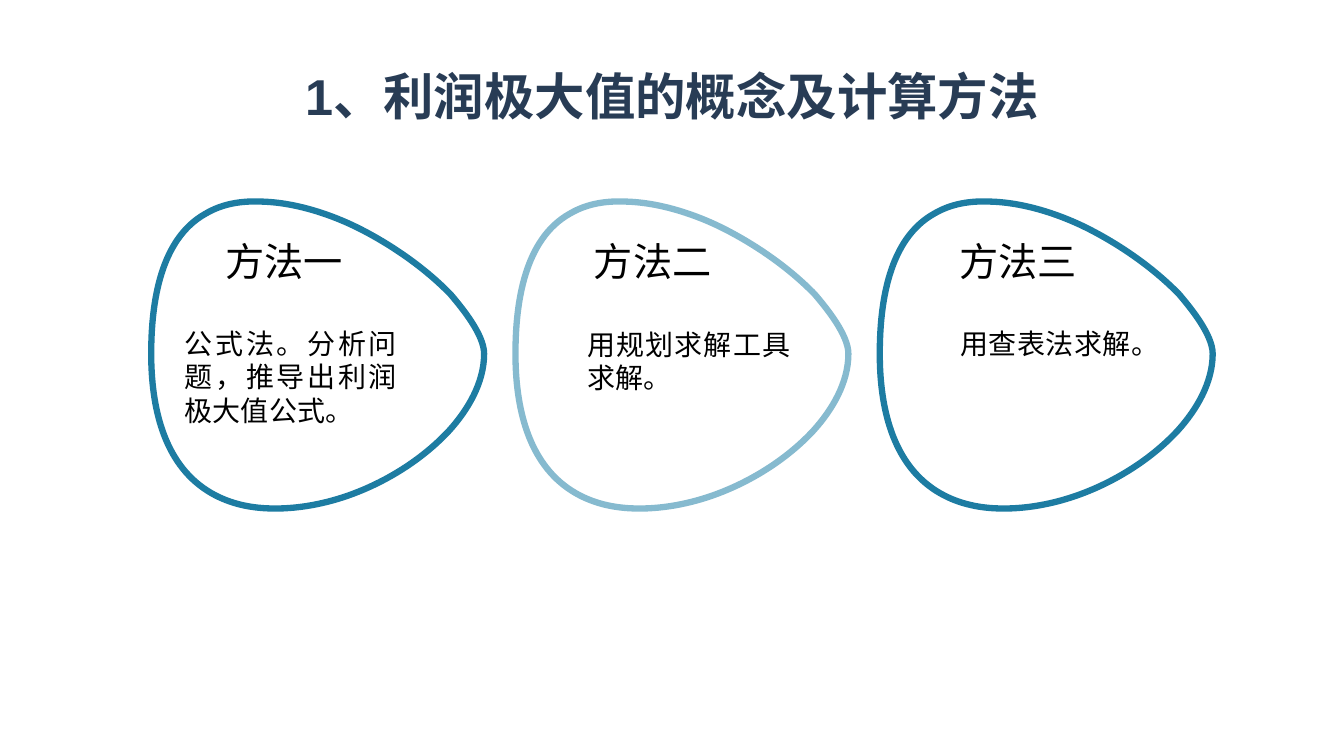
from dataclasses import dataclass

from lxml.etree import SubElement
from pptx import Presentation
from pptx.dml.color import RGBColor
from pptx.enum.text import MSO_ANCHOR, MSO_AUTO_SIZE, PP_ALIGN as Align
from pptx.oxml.ns import qn
from pptx.slide import Slide
from pptx.text.text import TextFrame
from pptx.util import Pt

FONT = "Arial"
BLACK, NAVY, TEAL, PALE_TEAL = "000000", "283C55", "1D7CA2", "86BACF"
PEBBLE_LEFT, PEBBLE_TOP, PEBBLE_PITCH = 108, 144, 260.2
PEBBLE_START = (79.2, 0)
PEBBLE_CURVES = [
    ((103, 0.7), (128, 9), (147.6, 18.7)),
    ((170.6, 30.2), (195, 46.8), (213.8, 66.2)),
    ((221.8, 75.6), (237.8, 95), (237.8, 108.7)),
    ((237.8, 129.6), (226, 149), (213, 163.4)),
    ((195, 182.9), (171.2, 198), (147.6, 207.4)),
    ((129.6, 214.6), (108, 219.6), (86.4, 219.2)),
    ((69.8, 219), (54, 215.3), (40.3, 206.6)),
    ((8.6, 186.5), (0, 146.2), (0, 108.7)),
    ((0, 72), (6.5, 26.6), (38.9, 8.6)),
    ((51.1, 1.4), (64.8, -0.7), PEBBLE_START),
]


@dataclass
class Area:
    left: float
    top: float
    width: float
    height: float


@dataclass
class Method:
    heading: str
    heading_left: float
    description: str
    area: Area
    outline: str


METHODS = [
    Method("方法一", 115.6, "公式法。分析问题，推导出利润极大值公式。",
           Area(125, 229.5, 165.6, 79.9), TEAL),
    Method("方法二", 378.7, "用规划求解工具求解。",
           Area(412.3, 230.1, 159.3, 55.4), PALE_TEAL),
    Method("方法三", 639.7, "用查表法求解。",
           Area(679, 229.5, 136.1, 31.7), TEAL),
]


def color(value: str) -> RGBColor:
    return RGBColor.from_string(value)


def write(frame: TextFrame, text: str, size: float, ink: str,
          alignment: Align, bold: bool = False) -> None:
    frame.word_wrap = True
    frame.auto_size = MSO_AUTO_SIZE.NONE
    frame.vertical_anchor = MSO_ANCHOR.TOP
    frame.text = text
    para = frame.paragraphs[0]
    para.alignment = alignment
    para.font.name = FONT
    para.font.size = Pt(size)
    para.font.bold = bold
    para.font.color.rgb = color(ink)


def add_text(page: Slide, area: Area, text: str, size: float,
             alignment: Align) -> None:
    box = page.shapes.add_textbox(
        Pt(area.left), Pt(area.top), Pt(area.width), Pt(area.height))
    write(box.text_frame, text, size, BLACK, alignment)


def add_pebble(page: Slide, left: float, outline: str) -> None:
    builder = page.shapes.build_freeform(
        Pt(left + PEBBLE_START[0]), Pt(PEBBLE_TOP + PEBBLE_START[1]))
    builder.add_line_segments(
        [(Pt(left + x), Pt(PEBBLE_TOP + y)) for *_, (x, y) in PEBBLE_CURVES],
        close=True)
    pebble = builder.convert_to_shape()
    segments = list(pebble._element.iter(qn("a:lnTo")))
    for segment, curve in zip(segments, PEBBLE_CURVES):
        bezier = SubElement(segment.getparent(), qn("a:cubicBezTo"))
        segment.getparent().replace(segment, bezier)
        for x, y in curve:
            SubElement(bezier, qn("a:pt"), x=str(Pt(x)), y=str(Pt(y)))
    pebble.shadow.inherit = False
    pebble.fill.background()
    pebble.line.color.rgb = color(outline)
    pebble.line.width = Pt(4.5)


def add_title(page: Slide, text: str) -> None:
    title = page.shapes.title
    title.left, title.top = Pt(0), Pt(43.2)
    title.width, title.height = Pt(960), Pt(51.1)
    write(title.text_frame, text, 36, NAVY, Align.CENTER, bold=True)


def main() -> None:
    deck = Presentation()
    deck.slide_width, deck.slide_height = Pt(960), Pt(540)
    page = deck.slides.add_slide(deck.slide_layouts[5])
    add_title(page, "1、利润极大值的概念及计算方法")
    for index, method in enumerate(METHODS):
        add_text(page, Area(method.heading_left, 166.3, 175, 41),
                 method.heading, 28, Align.CENTER)
        add_text(page, method.area, method.description, 20, Align.JUSTIFY)
    for index, method in enumerate(METHODS):
        add_pebble(page, PEBBLE_LEFT + index * PEBBLE_PITCH, method.outline)
    deck.save("out.pptx")


if __name__ == "__main__":
    main()
